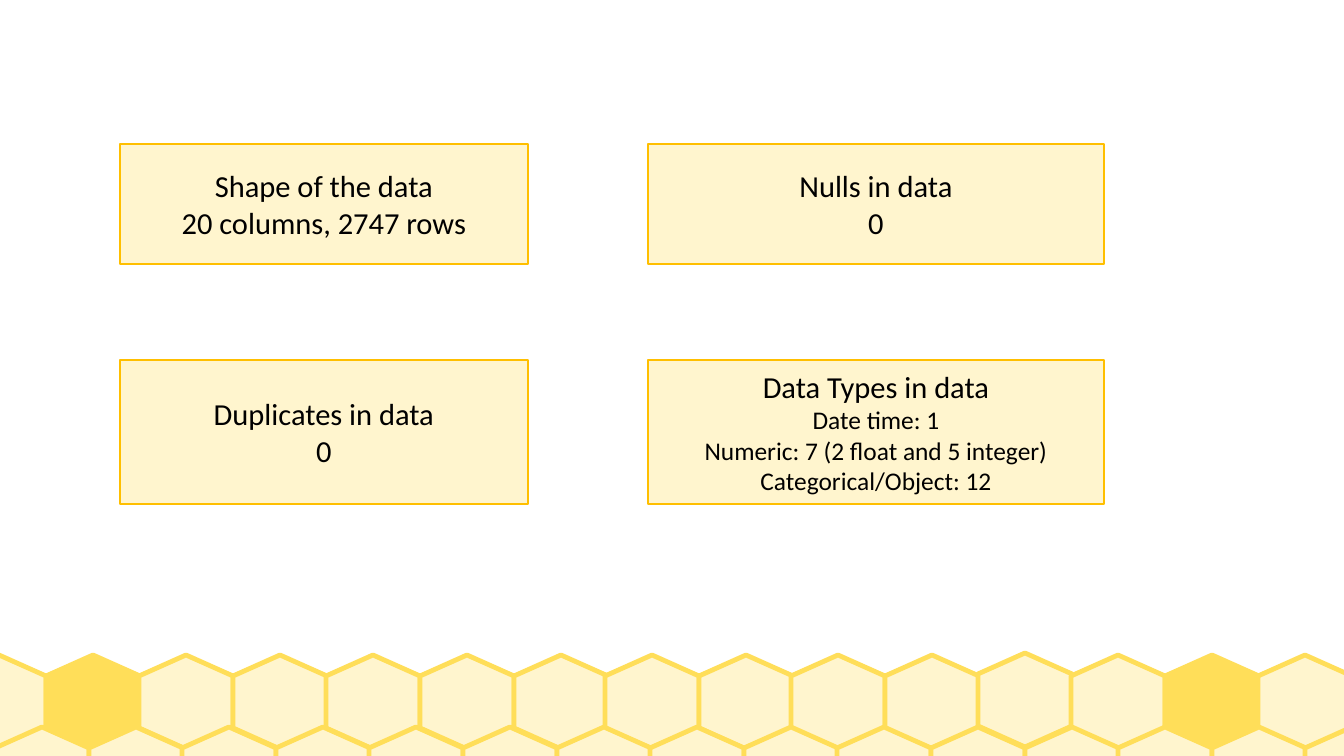
from pptx import Presentation
from pptx.dml.color import RGBColor
from pptx.enum.shapes import MSO_SHAPE
from pptx.enum.text import MSO_ANCHOR, PP_ALIGN
from pptx.util import Pt

RECT = MSO_SHAPE.RECTANGLE
MIDDLE = MSO_ANCHOR.MIDDLE
CENTER = PP_ALIGN.CENTER

PX = 7495
WIDE, HIGH = 1344, 756
FONT = "Calibri"
HEAD, BODY = 18, 15
COLORS = {"cream": "FFF5CE", "honey": "FFDE59", "gold": "FFBF00", "ink": "000000"}

COLS = [(120, 408), (648, 456)]
ROWS = [(144, 120), (360, 144)]
CARDS = [
    [
        [("Shape of the data", HEAD), ("20 columns, 2747 rows", HEAD)],
        [("Nulls in data", HEAD), ("0", HEAD)],
    ],
    [
        [("Duplicates in data", HEAD), ("0", HEAD)],
        [
            ("Data Types in data", HEAD),
            ("Date time: 1", BODY),
            ("Numeric: 7 (2 float and 5 integer)", BODY),
            ("Categorical/Object: 12", BODY),
        ],
    ],
]

PITCH = 93.6
HEX = [(47, 0), (0, 21), (0, 73), (47, 94), (94, 73), (94, 21)]
RUNS = [(-48, 655, 7), (605, 655, 2), (791, 655, 2), (978, 653, 1),
        (1071, 655, 3), (-5, 727, 15)]
SOLID = [(0, 1), (4, 1)]


def color(name):
    return RGBColor.from_string(COLORS[name])


def paint(shape, fill, line, width):
    shape.shadow.inherit = False
    shape.fill.solid()
    shape.fill.fore_color.rgb = color(fill)
    shape.line.color.rgb = color(line)
    shape.line.width = Pt(width)


def add_cell(slide, left, top, fill):
    points = [(left + x, top + y) for x, y in HEX]
    build = slide.shapes.build_freeform(*points[0], scale=PX)
    build.add_line_segments(points[1:], close=True)
    paint(build.convert_to_shape(), fill, "honey", 2.83)


def add_card(slide, col, row, lines):
    (left, width), (top, height) = col, row
    card = slide.shapes.add_shape(RECT, left * PX, top * PX, width * PX, height * PX)
    paint(card, "cream", "gold", 1.42)
    frame = card.text_frame
    frame.word_wrap = False
    frame.vertical_anchor = MIDDLE
    for i, (text, size) in enumerate(lines):
        para = frame.add_paragraph() if i else frame.paragraphs[0]
        para.alignment = CENTER
        run = para.add_run()
        run.text = text
        run.font.name = FONT
        run.font.size = Pt(size)
        run.font.color.rgb = color("ink")


def main():
    deck = Presentation()
    deck.slide_width, deck.slide_height = WIDE * PX, HIGH * PX
    slide = deck.slides.add_slide(deck.slide_layouts[6])
    for r, (start, top, count) in enumerate(RUNS):
        for i in range(count):
            fill = "honey" if (r, i) in SOLID else "cream"
            add_cell(slide, round(start + i * PITCH), top, fill)
    for row, cards in zip(ROWS, CARDS):
        for col, lines in zip(COLS, cards):
            add_card(slide, col, row, lines)
    deck.save("out.pptx")


if __name__ == "__main__":
    main()
